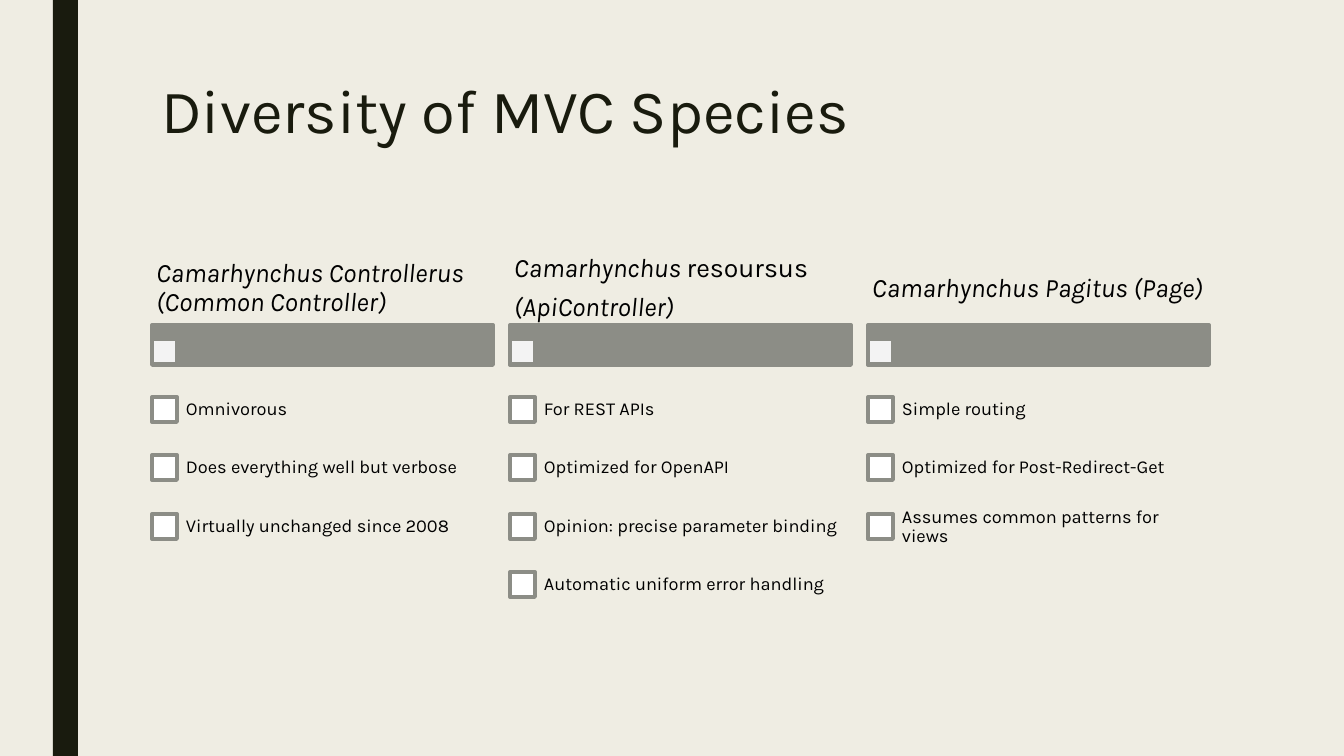
from lxml import etree
from pptx import Presentation
from pptx.dml.color import RGBColor
from pptx.enum.shapes import MSO_SHAPE
from pptx.enum.text import MSO_ANCHOR, MSO_AUTO_SIZE, PP_ALIGN
from pptx.oxml.ns import qn
from pptx.util import Pt

RECT = MSO_SHAPE.RECTANGLE
TOP, MIDDLE = MSO_ANCHOR.TOP, MSO_ANCHOR.MIDDLE
LEFT = PP_ALIGN.LEFT
NO_FIT = MSO_AUTO_SIZE.NONE

CREAM = RGBColor(0xEF, 0xED, 0xE3)
DARK = RGBColor(0x19, 0x1B, 0x0E)
GRAY = RGBColor(0x8C, 0x8D, 0x86)
WHITE = RGBColor(0xFF, 0xFF, 0xFF)
BLACK = RGBColor(0x00, 0x00, 0x00)

COLUMN_LEFT, COLUMN_PITCH, COLUMN_WIDTH = 152, 358, 341
ROW_TOP, ROW_HEIGHT = 381, 58
BOX = 25

SPECIES = [
    ([[("Camarhynchus Controllerus (Common Controller)", True)]],
     ["Omnivorous", "Does everything well but verbose",
      "Virtually unchanged since 2008"]),
    ([[("Camarhynchus ", True), ("resoursus", False)],
      [("(ApiController)", True)]],
     ["For REST APIs", "Optimized for OpenAPI",
      "Opinion: precise parameter binding",
      "Automatic uniform error handling"]),
    ([[("Camarhynchus Pagitus (Page)", True)]],
     ["Simple routing", "Optimized for Post-Redirect-Get",
      "Assumes common patterns for views"]),
]


def px(n):
    return round(n * 914400 / 100.8)


class SlideBuilder:
    font = "Karla"
    line_width = Pt(2.75)

    def __init__(self, prs):
        self.s = prs.slides.add_slide(prs.slide_layouts[5])
        self.s.background.fill.solid()
        self.s.background.fill.fore_color.rgb = CREAM

    def style_run(self, r, size, color, italic=False):
        r.font.name = self.font
        r.font.size = Pt(size)
        r.font.color.rgb = color
        r.font.italic = italic

    def title(self, text, x, y, w, h):
        sp = self.s.shapes.title
        sp.left, sp.top, sp.width, sp.height = map(px, (x, y, w, h))
        tf = sp.text_frame
        tf.text = text
        tf.auto_size = NO_FIT
        tf.vertical_anchor = TOP
        p = tf.paragraphs[0]
        p.alignment = LEFT
        p.line_spacing = 0.89
        self.style_run(p.runs[0], 44, DARK)

    def rect(self, x, y, w, h, fill, line=None, alpha=None):
        sp = self.s.shapes.add_shape(RECT, px(x), px(y), px(w), px(h))
        sp.shadow.inherit = False
        sp.fill.solid()
        sp.fill.fore_color.rgb = fill
        if alpha:
            color = sp.fill._xPr.find(qn("a:solidFill"))[0]
            etree.SubElement(color, qn("a:alpha"), val=str(alpha * 1000))
        if line is None:
            sp.line.fill.background()
        else:
            sp.line.color.rgb = line
            sp.line.width = self.line_width

    def text(self, paragraphs, x, y, w, h, size, inset_x, inset_y, after):
        tf = self.s.shapes.add_textbox(px(x), px(y), px(w), px(h)).text_frame
        tf.word_wrap = True
        tf.vertical_anchor = MIDDLE
        tf.margin_left = tf.margin_right = px(inset_x)
        tf.margin_top = tf.margin_bottom = px(inset_y)
        for i, runs in enumerate(paragraphs):
            p = tf.add_paragraph() if i else tf.paragraphs[0]
            p.line_spacing = 0.9
            p.space_after = Pt(after)
            for words, italic in runs:
                r = p.add_run()
                r.text = words
                self.style_run(r, size, BLACK, italic)

    def column(self, x, heading, traits):
        self.rect(x, 325, COLUMN_WIDTH, 40, GRAY, GRAY)
        self.rect(x, 339, BOX, BOX, WHITE, GRAY, alpha=90)
        self.text(heading, x, 252, COLUMN_WIDTH, 73, 19, 4, 3, 7)
        for i, trait in enumerate(traits):
            y = ROW_TOP + i * 117 // 2
            self.rect(x, y + 16, BOX, BOX, WHITE, GRAY)
            self.text([[(trait, False)]], x + 24, y, COLUMN_WIDTH - 24,
                      ROW_HEIGHT, 13, 10, 10, 5)


def main():
    prs = Presentation()
    prs.slide_width, prs.slide_height = px(1344), px(756)
    slide = SlideBuilder(prs)
    slide.rect(53, 0, 25, 756, DARK)
    slide.title("Diversity of MVC Species", 151, 76, 1058, 163)
    for i, (heading, traits) in enumerate(SPECIES):
        slide.column(COLUMN_LEFT + i * COLUMN_PITCH, heading, traits)
    prs.save("out.pptx")


if __name__ == "__main__":
    main()
